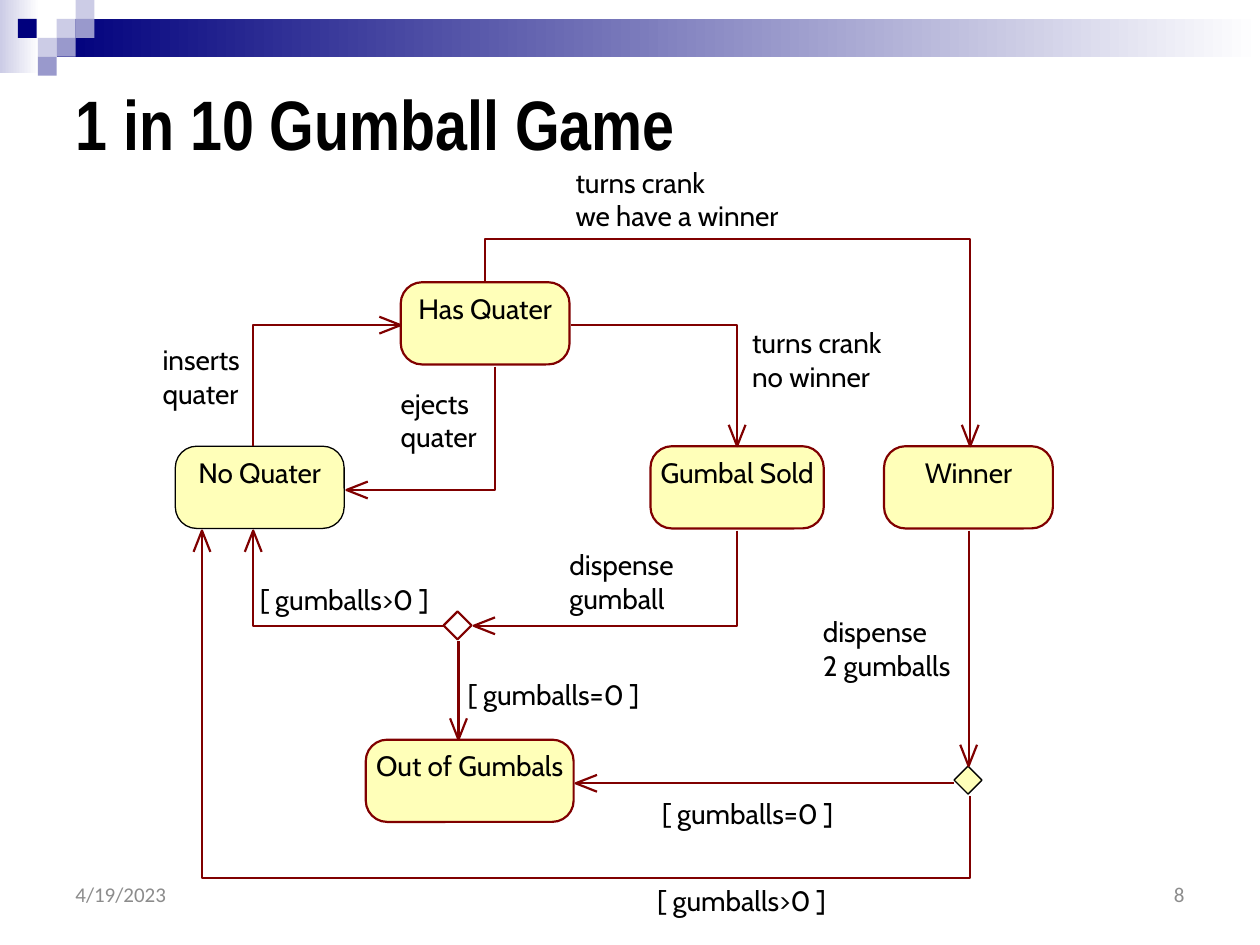
from math import hypot

from lxml import etree
from pptx import Presentation
from pptx.dml.color import RGBColor
from pptx.enum.shapes import MSO_CONNECTOR, MSO_SHAPE
from pptx.enum.text import MSO_ANCHOR, PP_ALIGN
from pptx.oxml.ns import qn
from pptx.util import Pt

RECTANGLE = MSO_SHAPE.RECTANGLE
ROUNDED = MSO_SHAPE.ROUNDED_RECTANGLE
DECISION = MSO_SHAPE.FLOWCHART_DECISION
STRAIGHT = MSO_CONNECTOR.STRAIGHT
TOP, MIDDLE = MSO_ANCHOR.TOP, MSO_ANCHOR.MIDDLE
LEFT, CENTER, RIGHT = PP_ALIGN.LEFT, PP_ALIGN.CENTER, PP_ALIGN.RIGHT


class Theme:
    navy = RGBColor(0x00, 0x00, 0x7D)
    lilac = RGBColor(0xCC, 0xCC, 0xE6)
    violet = RGBColor(0x99, 0x99, 0xCC)
    white = RGBColor(0xFF, 0xFF, 0xFF)
    black = RGBColor(0x00, 0x00, 0x00)
    grey = RGBColor(0x8C, 0x8C, 0x8C)
    cream = RGBColor(0xFF, 0xFF, 0xB9)
    maroon = RGBColor(0x80, 0x00, 0x00)
    title_font, label_font, footer_font = "Arial Narrow", "Cabin", "Calibri"
    title_size, label_size, footer_size = Pt(40), Pt(16), Pt(12)
    stroke, hairline = Pt(1.25), Pt(0)


def write(shape, lines, font, size, color, align=LEFT, anchor=TOP, bold=False):
    frame = shape.text_frame
    frame.word_wrap = True
    frame.vertical_anchor = anchor
    for index, line in enumerate(lines):
        para = frame.paragraphs[0] if index == 0 else frame.add_paragraph()
        para.alignment = align
        span = para.add_run()
        span.text = line
        span.font.name = font
        span.font.size = size
        span.font.bold = bold
        span.font.color.rgb = color
    return frame


def trace(page, points):
    corners = [(Pt(x), Pt(y)) for x, y in points]
    if len(corners) == 2:
        path = page.shapes.add_connector(STRAIGHT, *corners[0], *corners[1])
        etree.SubElement(path._element.spPr, qn("a:effectLst"))
    else:
        builder = page.shapes.build_freeform(*corners[0])
        builder.add_line_segments(corners[1:], close=False)
        path = builder.convert_to_shape()
        path.fill.background()
        path.shadow.inherit = False
    path.line.color.rgb = Theme.maroon
    path.line.width = Theme.stroke


deck = Presentation()
deck.slide_width, deck.slide_height = Pt(720), Pt(540)
page = deck.slides.add_slide(deck.slide_layouts[5])

tile = 10.8
ornaments = [
    (0, 0, 22.5, 42, (Theme.lilac, Theme.white)),
    (32.4, tile, 687.6, 21.6, (Theme.navy, Theme.white)),
]
for left, top, color in [
    (32.4, tile, Theme.lilac),
    (43.2, 0, Theme.lilac),
    (43.2, tile, Theme.violet),
    (21.6, 2 * tile, Theme.lilac),
    (10.2, tile, Theme.navy),
    (32.4, 2 * tile, Theme.violet),
    (21.6, 3 * tile, Theme.violet),
]:
    ornaments.append((left, top, tile, tile, (color,)))

for left, top, width, height, colors in ornaments:
    block = page.shapes.add_shape(RECTANGLE, Pt(left), Pt(top), Pt(width), Pt(height))
    block.shadow.inherit = False
    block.line.fill.background()
    if len(colors) == 1:
        block.fill.solid()
        block.fill.fore_color.rgb = colors[0]
    else:
        block.fill.gradient()
        block.fill.gradient_angle = 0
        for stop, color in zip(block.fill.gradient_stops, colors):
            stop.color.rgb = color

title = page.shapes.title
title.left, title.top, title.width, title.height = Pt(36), Pt(32.4), Pt(648), Pt(75.6)
write(title, ["1 in 10 Gumball Game"], Theme.title_font, Theme.title_size,
      Theme.black, anchor=MIDDLE, bold=True)

for left, text, align in [(36, "4/19/2023", LEFT), (516, "8", RIGHT)]:
    box = page.shapes.add_textbox(Pt(left), Pt(498.5), Pt(168), Pt(25))
    write(box, [text], Theme.footer_font, Theme.footer_size, Theme.grey, align, MIDDLE)

for name, left, top, width, color, weight in [
    ("No Quater", 100.2, 255, 96.5, Theme.black, Theme.hairline),
    ("Has Quater", 229, 161.3, 96.5, Theme.maroon, Theme.stroke),
    ("Gumbal Sold", 371.7, 255, 99, Theme.maroon, Theme.stroke),
    ("Out of Gumbals", 209, 422.7, 118.8, Theme.maroon, Theme.stroke),
    ("Winner", 505.2, 255, 96.5, Theme.maroon, Theme.stroke),
]:
    state = page.shapes.add_shape(ROUNDED, Pt(left), Pt(top), Pt(width), Pt(47))
    state.adjustments[0] = 0.26
    state.shadow.inherit = False
    state.fill.solid()
    state.fill.fore_color.rgb = Theme.cream
    state.line.color.rgb = color
    state.line.width = weight
    frame = write(state, [name], Theme.label_font, Theme.label_size, Theme.black, CENTER)
    frame.word_wrap = False
    frame.margin_left = frame.margin_right = frame.margin_bottom = 0
    frame.margin_top = Pt(1.5)

for left, top, filled in [(253.5, 349.4, False), (545.2, 437.8, True)]:
    decision = page.shapes.add_shape(DECISION, Pt(left), Pt(top), Pt(16), Pt(16))
    decision.shadow.inherit = False
    if filled:
        decision.fill.solid()
        decision.fill.fore_color.rgb = Theme.cream
    else:
        decision.fill.background()
    decision.line.color.rgb = Theme.black if filled else Theme.maroon
    decision.line.width = Theme.hairline if filled else Theme.stroke

head_length, head_half = 12.2, 4.8
for route in [
    [(144.7, 255), (144.7, 185.8), (229, 185.8)],
    [(283, 209.5), (283, 280), (198, 280)],
    [(326.2, 185.8), (421.2, 185.8), (421.2, 255)],
    [(421.2, 303.2), (421.2, 357.6), (270.7, 357.6)],
    [(262, 366.5), (262, 422.7)],
    [(253.5, 357.6), (144.7, 357.6), (144.7, 303.2)],
    [(277, 161.3), (277, 136.8), (554.4, 136.8), (554.4, 255)],
    [(553.5, 303.2), (553.5, 437.8)],
    [(545, 447.6), (329, 447.6)],
    [(554.4, 455), (554.4, 501.8), (115.4, 501.8), (115.4, 303.2)],
]:
    trace(page, route)
    (start_x, start_y), (tip_x, tip_y) = route[-2:]
    length = hypot(tip_x - start_x, tip_y - start_y)
    dx, dy = (tip_x - start_x) / length, (tip_y - start_y) / length
    base_x, base_y = tip_x - dx * head_length, tip_y - dy * head_length
    trace(page, [
        (base_x - dy * head_half, base_y + dx * head_half),
        (tip_x, tip_y),
        (base_x + dy * head_half, base_y - dx * head_half),
    ])

for left, top, lines in [
    (92.9, 196, ["inserts", "quater"]),
    (229, 220.7, ["ejects", "quater"]),
    (429.8, 186.2, ["turns crank", "no winner"]),
    (325.4, 313, ["dispense", "gumball"]),
    (267.3, 387.2, ["[ gumballs=0 ]"]),
    (148.5, 332.8, ["[ gumballs>0 ]"]),
    (328.9, 94.3, ["turns crank", "we have a winner"]),
    (470.2, 351.4, ["dispense", "2 gumballs"]),
    (378.2, 455, ["[ gumballs=0 ]"]),
    (375.6, 504.7, ["[ gumballs>0 ]"]),
]:
    label = page.shapes.add_textbox(Pt(left), Pt(top), Pt(125), Pt(20 * len(lines)))
    frame = write(label, lines, Theme.label_font, Theme.label_size, Theme.black)
    frame.margin_left = frame.margin_right = frame.margin_top = frame.margin_bottom = 0

deck.save("out.pptx")
